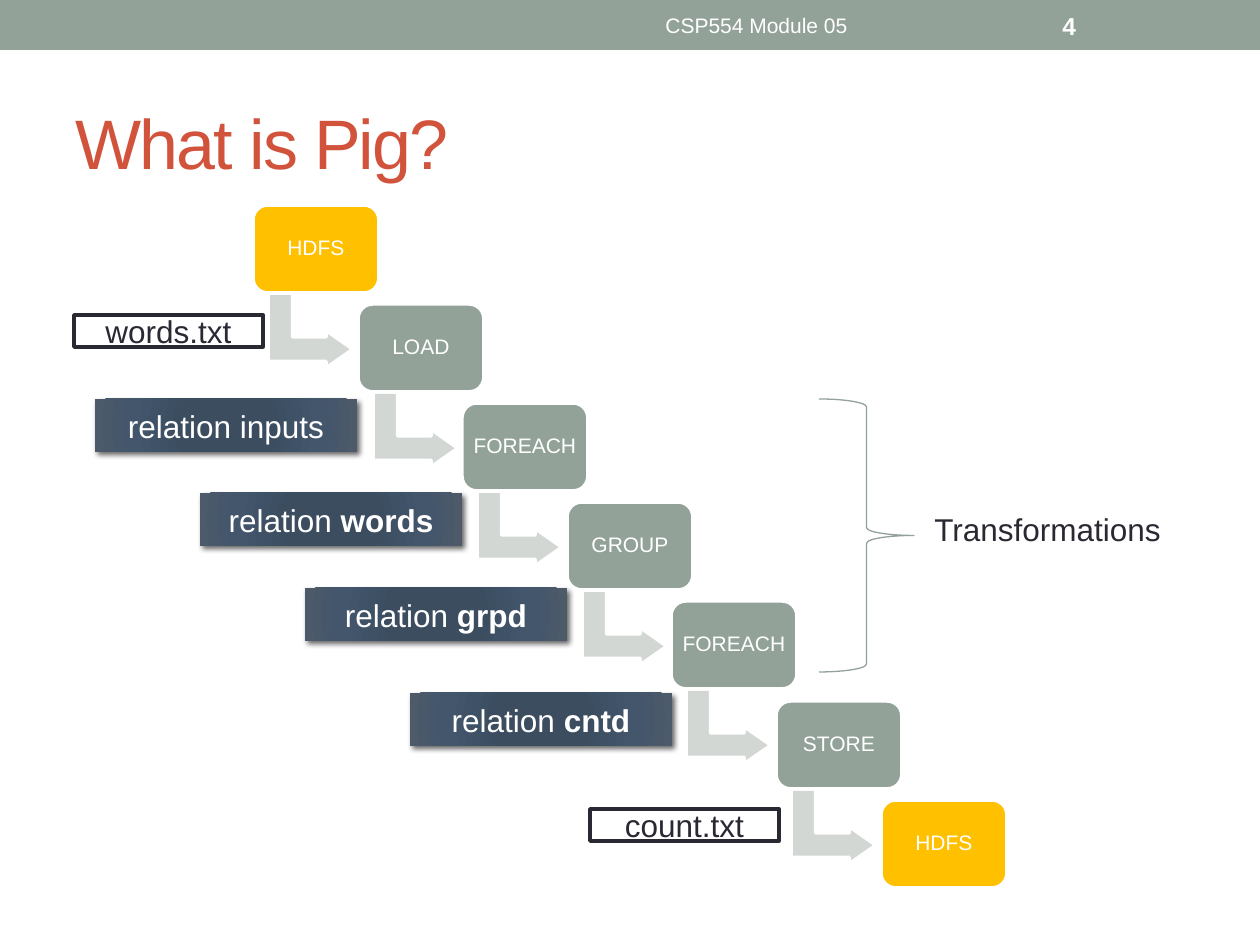
"""Builds the slide that shows a Pig data flow as a staircase of steps."""
from lxml import etree
from pptx import Presentation
from pptx import util as u
from pptx.dml.color import RGBColor
from pptx.enum import shapes, text
from pptx.oxml.ns import qn

SAGE = RGBColor(0x93, 0xA2, 0x99)
PALE = RGBColor(0xD2, 0xD7, 0xD4)
GOLD = RGBColor(0xFF, 0xC0, 0x00)
RUST = RGBColor(0xD2, 0x53, 0x3C)
INK = RGBColor(0x29, 0x29, 0x34)
WHITE = RGBColor(0xFF, 0xFF, 0xFF)
BLACK = RGBColor(0x00, 0x00, 0x00)
SLATE = [
    (0, RGBColor(0x3B, 0x4D, 0x61)),
    (34, RGBColor(0x3C, 0x4D, 0x60)),
    (70, RGBColor(0x43, 0x56, 0x6B)),
    (100, RGBColor(0x4C, 0x5A, 0x6A)),
]

PIXEL = 914400 / 126
FONT = "Arial"
PRESET = shapes.MSO_SHAPE
CENTER = text.PP_ALIGN.CENTER
STEP_X, STEP_Y = 104.6, 99.1


def px(length):
    return u.Emu(round(length * PIXEL))


def child(parent, tag, **attributes):
    return etree.SubElement(parent, qn(tag), {k: str(v) for k, v in attributes.items()})


def write(box, *spans, size=18, color=INK, bold=(), align=None, anchor=text.MSO_ANCHOR.MIDDLE,
          wrap=True, inset=None, line_spacing=None, tracking=None):
    """Fills a box with one paragraph; bold holds the indexes of bold spans."""
    frame = box.text_frame
    frame.word_wrap = wrap
    frame.vertical_anchor = anchor
    if inset is not None:
        frame.margin_left = frame.margin_right = px(inset)
        frame.margin_top = frame.margin_bottom = px(inset)
    para = frame.paragraphs[0]
    para.alignment = align
    para.line_spacing = line_spacing
    for index, words in enumerate(spans):
        span = para.add_run()
        span.text = words
        span.font.name = FONT
        span.font.size = u.Pt(size)
        span.font.bold = index in bold
        span.font.color.rgb = color
        if tracking is not None:
            span.font._element.set("spc", str(tracking * 100))


class Canvas:
    """Holds the current slide and draws each kind of element on it."""

    def __init__(self, slide):
        self.slide = slide

    def shape(self, preset, at, fill=None, line=None, width=2.08, adjust=()):
        shape = self.slide.shapes.add_shape(preset, *map(px, at))
        shape.shadow.inherit = False
        for index, value in enumerate(adjust):
            shape.adjustments[index] = value
        if fill is None:
            shape.fill.background()
        else:
            shape.fill.solid()
            shape.fill.fore_color.rgb = fill
        if line is None:
            shape.line.fill.background()
        else:
            shape.line.color.rgb = line
            shape.line.width = u.Pt(width)
        return shape

    def label(self, at, words, **style):
        write(self.slide.shapes.add_textbox(*map(px, at)), words, **style)

    def step(self, left, top, words, fill):
        box = self.shape(PRESET.ROUNDED_RECTANGLE, (left, top, 126, 88), fill, WHITE, adjust=[0.167])
        write(box, words, size=12, color=WHITE, align=CENTER, inset=3, line_spacing=0.9)

    def bent_arrow(self, left, top):
        arrow = self.shape(PRESET.BENT_UP_ARROW, (left, top, 75, 85), PALE, WHITE,
                           adjust=[0.328, 0.25, 0.358])
        arrow.rotation = 90

    def file_box(self, left, top, words):
        box = self.shape(PRESET.RECTANGLE, (left, top, 189, 32), WHITE, INK)
        write(box, words, align=CENTER)

    def relation(self, left, top, name, bold):
        box = self.shape(PRESET.RECTANGLE, (left, top, 262, 53), WHITE)
        box.fill.gradient()
        gradient = box._element.spPr.find(qn("a:gradFill"))
        for part in list(gradient):
            gradient.remove(part)
        stops = child(gradient, "a:gsLst")
        for position, color in SLATE:
            child(child(stops, "a:gs", pos=position * 1000), "a:srgbClr", val=color)
        child(child(gradient, "a:path", path="circle"), "a:fillToRect",
              **dict.fromkeys("ltrb", 100000))
        effects = box._element.spPr.find(qn("a:effectLst"))
        shadow = child(effects, "a:outerShdw", blurRad=u.Pt(3), dist=u.Pt(2),
                       dir=45 * 60000, rotWithShape=0)
        child(child(shadow, "a:srgbClr", val=BLACK), "a:alpha", val=60000)
        write(box, "relation ", name, color=WHITE, align=CENTER, bold=bold)


def main():
    deck = Presentation()
    deck.slide_width, deck.slide_height = px(1260), px(945)
    page = Canvas(deck.slides.add_slide(deck.slide_layouts[6]))

    page.shape(PRESET.RECTANGLE, (0, 0, 1260, 50), SAGE)
    page.label((63, 73, 1134, 136), "What is Pig?", size=40, color=RUST, tracking=-1)
    page.label((473, 3, 567, 45), "CSP554 Module 05", size=12, color=WHITE, align=CENTER)
    page.label((1050, 3, 147, 45), "4", size=14, color=WHITE, bold=[0])

    steps = ["HDFS", "LOAD", "FOREACH", "GROUP", "FOREACH", "STORE", "HDFS"]
    for index, words in enumerate(steps):
        left, top = 253 + round(index * STEP_X), 205 + round(index * STEP_Y)
        if index < len(steps) - 1:
            page.bent_arrow(left + 20, top + 83)
        page.step(left, top, words, GOLD if words == "HDFS" else SAGE)

    relations = [(399, "inputs", []), (493, "words", [1]), (588, "grpd", [1]), (693, "cntd", [1])]
    for index, (top, name, bold) in enumerate(relations):
        page.relation(95 + index * 105, top, name, bold)

    page.file_box(74, 315, "words.txt")
    page.file_box(590, 809, "count.txt")

    page.shape(PRESET.RIGHT_BRACE, (819, 399, 95, 273), line=SAGE, width=0.75)
    page.label((922, 504, 255, 50), "Transformations", wrap=False, anchor=text.MSO_ANCHOR.TOP)

    deck.save("out.pptx")


main()
